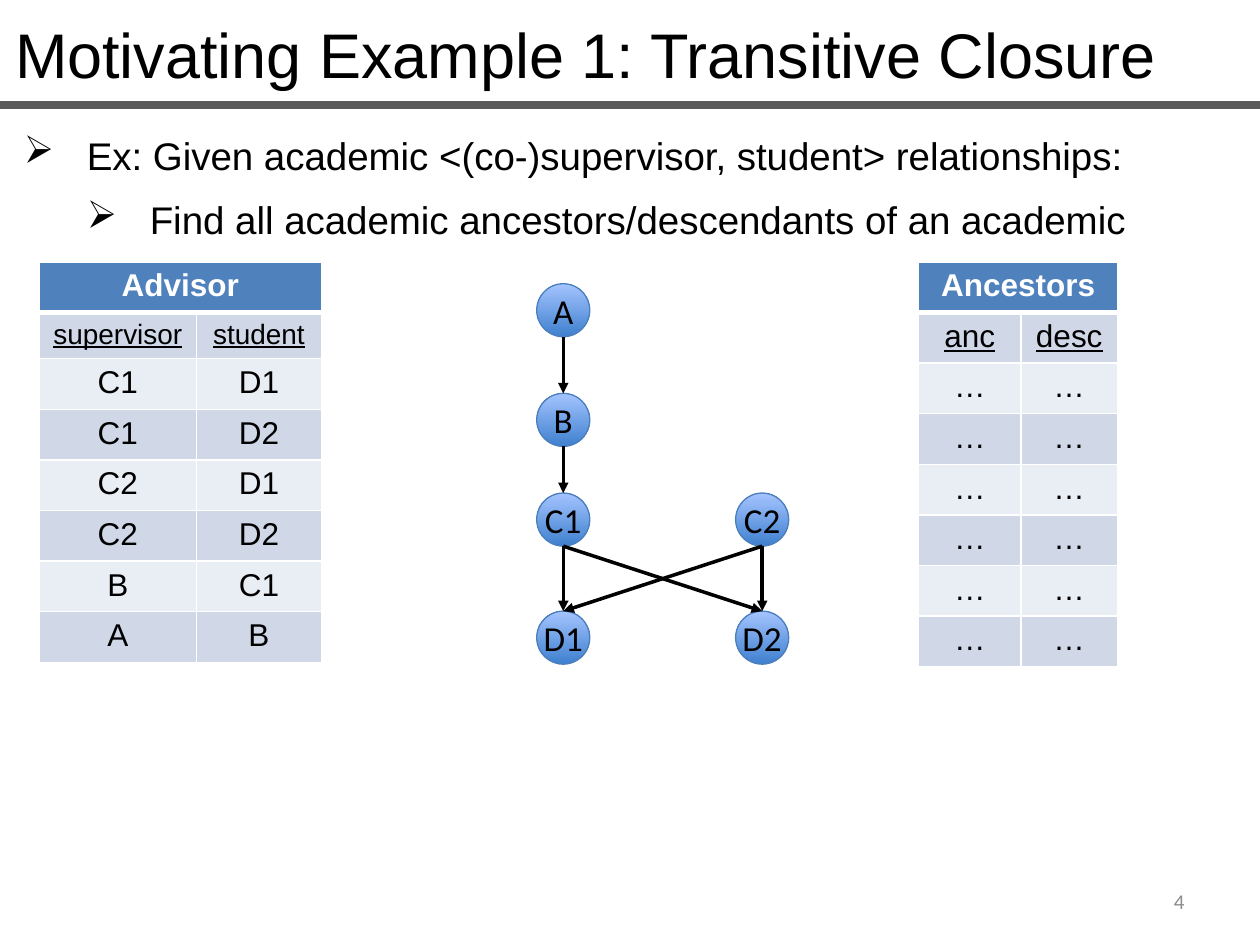
from dataclasses import dataclass

from lxml import etree
from pptx import Presentation
from pptx import util as u
from pptx.dml.color import RGBColor
from pptx.enum import shapes, text
from pptx.oxml import ns


@dataclass(frozen=True)
class Theme:
    """Fonts, type sizes and colours of the slide."""
    font: str = "Arial"
    node_font: str = "Calibri"
    title_size: int = 36
    body_size: int = 22
    node_size: int = 20
    table_size: int = 18
    number_size: int = 12
    black: str = "000000"
    white: str = "FFFFFF"
    rule: str = "595959"
    number: str = "8C8C8C"
    header: str = "4F81BD"
    bands: tuple = ("E9EDF4", "D0D8E8")
    node_fill: tuple = ("3F80CE", "A4C4FF")
    node_line: str = "4B7EBC"


THEME = Theme()
INSETS = ("margin_left", "margin_right", "margin_top", "margin_bottom")


def apply(target, values):
    """Set each attribute of the target named in the dict."""
    for name, value in values.items():
        setattr(target, name, value)


def add_xml(parent, tag, **attributes):
    """Append a DrawingML element with the given attributes."""
    return etree.SubElement(parent, ns.qn(tag), attributes)


def write(paragraph, words, size, color=THEME.black, font=THEME.font, **formats):
    """Write one formatted run into a paragraph."""
    run = paragraph.add_run()
    run.text = words
    apply(run.font, {"size": u.Pt(size), "name": font, **formats})
    run.font.color.rgb = RGBColor.from_string(color)


def add_line(slide, start, end, color, width):
    """Draw a straight connector without a shadow."""
    line = slide.shapes.add_connector(
        shapes.MSO_CONNECTOR.STRAIGHT, *map(u.Cm, start + end))
    line.line.width = u.Pt(width)
    line.line.color.rgb = RGBColor.from_string(color)
    add_xml(line.element.spPr, "a:effectLst")
    return line


def add_heading(slide, box, words):
    """Place the title in its box with a full-width rule below."""
    title = slide.shapes.title
    apply(title, dict(zip(("left", "top", "width", "height"), map(u.Cm, box))))
    frame = title.text_frame
    apply(frame, {"word_wrap": True, "auto_size": text.MSO_AUTO_SIZE.NONE,
                  "vertical_anchor": text.MSO_ANCHOR.MIDDLE})
    paragraph = frame.paragraphs[0]
    paragraph.alignment = text.PP_ALIGN.LEFT
    write(paragraph, words, THEME.title_size)
    rule_top = box[1] + box[3] + 0.13
    add_line(slide, (0, rule_top), (25.4, rule_top), THEME.rule, 4.5)


def add_bullets(slide, box, lines):
    """Fill the box with one bullet per line, each a level deeper."""
    frame = slide.shapes.add_textbox(*map(u.Cm, box)).text_frame
    frame.word_wrap = True
    for level, words in enumerate(lines):
        paragraph = frame.add_paragraph() if level else frame.paragraphs[0]
        apply(paragraph, {"level": level, "line_spacing": u.Pt(36.8)})
        write(paragraph, words, THEME.body_size)
        properties = paragraph._p.get_or_add_pPr()
        properties.set("marL", str(u.Cm(1.27 * (level + 1))))
        properties.set("indent", str(u.Cm(-1.27)))
        add_xml(properties, "a:buChar", char="➢")


def format_cell(cell, words, fill, size, color, bottom=1, **formats):
    """Give a cell its white borders, fill and centred text."""
    properties = cell._tc.get_or_add_tcPr()
    for side in "LRTB":
        width = bottom if side == "B" else 1
        border = add_xml(properties, f"a:ln{side}", w=str(u.Pt(width)))
        add_xml(add_xml(border, "a:solidFill"), "a:srgbClr", val=THEME.white)
    cell.fill.solid()
    cell.fill.fore_color.rgb = RGBColor.from_string(fill)
    paragraph = cell.text_frame.paragraphs[0]
    paragraph.alignment = text.PP_ALIGN.CENTER
    write(paragraph, words, size, color, **formats)


def add_relation(slide, box, name, fields, records, split, field_size):
    """Draw a relation table: merged name, underlined fields, records."""
    field_height = 0.91 if field_size < THEME.table_size else 1.02
    table = slide.shapes.add_table(len(records) + 2, 2, *map(u.Cm, box)).table
    apply(table, {"first_row": False, "horz_banding": False})
    for column, width in zip(table.columns, (split, box[2] - split)):
        column.width = u.Cm(width)
    for index, row in enumerate(table.rows):
        row.height = u.Cm(field_height if index == 1 else 1.02)
    table.cell(0, 0).merge(table.cell(0, 1))
    format_cell(table.cell(0, 0), name, THEME.header, THEME.table_size,
                THEME.white, bottom=3, bold=True)
    for row, values in enumerate([fields, *records], 1):
        is_field = row == 1
        for column, words in enumerate(values):
            format_cell(table.cell(row, column), words, THEME.bands[row % 2],
                        field_size if is_field else THEME.table_size,
                        THEME.black, bold=False, underline=is_field)


def add_node(slide, box, name):
    """Draw one labelled graph node."""
    node = slide.shapes.add_shape(shapes.MSO_SHAPE.OVAL, *map(u.Cm, box))
    node.shadow.inherit = False
    node.fill.gradient()
    node.fill.gradient_angle = 90
    for stop, color in zip(node.fill.gradient_stops, THEME.node_fill):
        stop.color.rgb = RGBColor.from_string(color)
    node.line.width = u.Pt(0.75)
    node.line.color.rgb = RGBColor.from_string(THEME.node_line)
    frame = node.text_frame
    apply(frame, {"word_wrap": False, "vertical_anchor": text.MSO_ANCHOR.MIDDLE,
                  **dict.fromkeys(INSETS, 0)})
    frame.paragraphs[0].alignment = text.PP_ALIGN.CENTER
    write(frame.paragraphs[0], name, THEME.node_size, font=THEME.node_font)
    return node


def add_graph(slide, box, edges):
    """Draw the advisor graph within the box."""
    left, top, width, height = box
    size = 1.07
    right, bottom = left + width - size, top + height - size
    places = {"A": (left, top), "B": (left, top + 2.21),
              "C1": (left, top + 4.22), "C2": (right, top + 4.22),
              "D1": (left, bottom), "D2": (right, bottom)}
    nodes = {name: add_node(slide, (*place, size, size), name)
             for name, place in places.items()}
    for parent, child in edges:
        (x1, y1), (x2, y2) = places[parent], places[child]
        arrow = add_line(slide, (x1 + size / 2, y1 + size),
                         (x2 + size / 2, y2), THEME.black, 2)
        arrow.end_connect(nodes[child], 0)
        add_xml(arrow.line._get_or_add_ln(), "a:tailEnd", type="triangle")


def add_page_number(slide, box, number):
    """Place the page number at the right of its box."""
    frame = slide.shapes.add_textbox(*map(u.Cm, box)).text_frame
    apply(frame, {"word_wrap": True, "vertical_anchor": text.MSO_ANCHOR.MIDDLE})
    frame.paragraphs[0].alignment = text.PP_ALIGN.RIGHT
    write(frame.paragraphs[0], number, THEME.number_size, THEME.number,
          THEME.node_font)


def main():
    """Build the slide and save it."""
    presentation = Presentation()
    apply(presentation, {"slide_width": u.Cm(25.4), "slide_height": u.Cm(19.05)})
    slide = presentation.slides.add_slide(presentation.slide_layouts[5])
    advisors = [("C1", "D1"), ("C1", "D2"), ("C2", "D1"),
                ("C2", "D2"), ("B", "C1"), ("A", "B")]
    add_heading(slide, (0.05, 0.18, 25, 1.8),
                "Motivating Example 1: Transitive Closure")
    add_bullets(slide, (0.23, 2.16, 25.17, 2.74), (
        "Ex: Given academic <(co-)supervisor, student> relationships:",
        "Find all academic ancestors/descendants of an academic"))
    add_relation(slide, (0.79, 5.28, 5.69, 8.05), "Advisor",
                 ("supervisor", "student"), advisors, 3.17, 16)
    add_graph(slide, (10.82, 5.72, 5.08, 7.67), advisors)
    add_relation(slide, (18.52, 5.28, 4.01, 8.16), "Ancestors",
                 ("anc", "desc"), [("…", "…")] * 6, 2.06, THEME.table_size)
    add_page_number(slide, (18.21, 17.65, 5.92, 1.02), "4")
    presentation.save("out.pptx")


if __name__ == "__main__":
    main()
